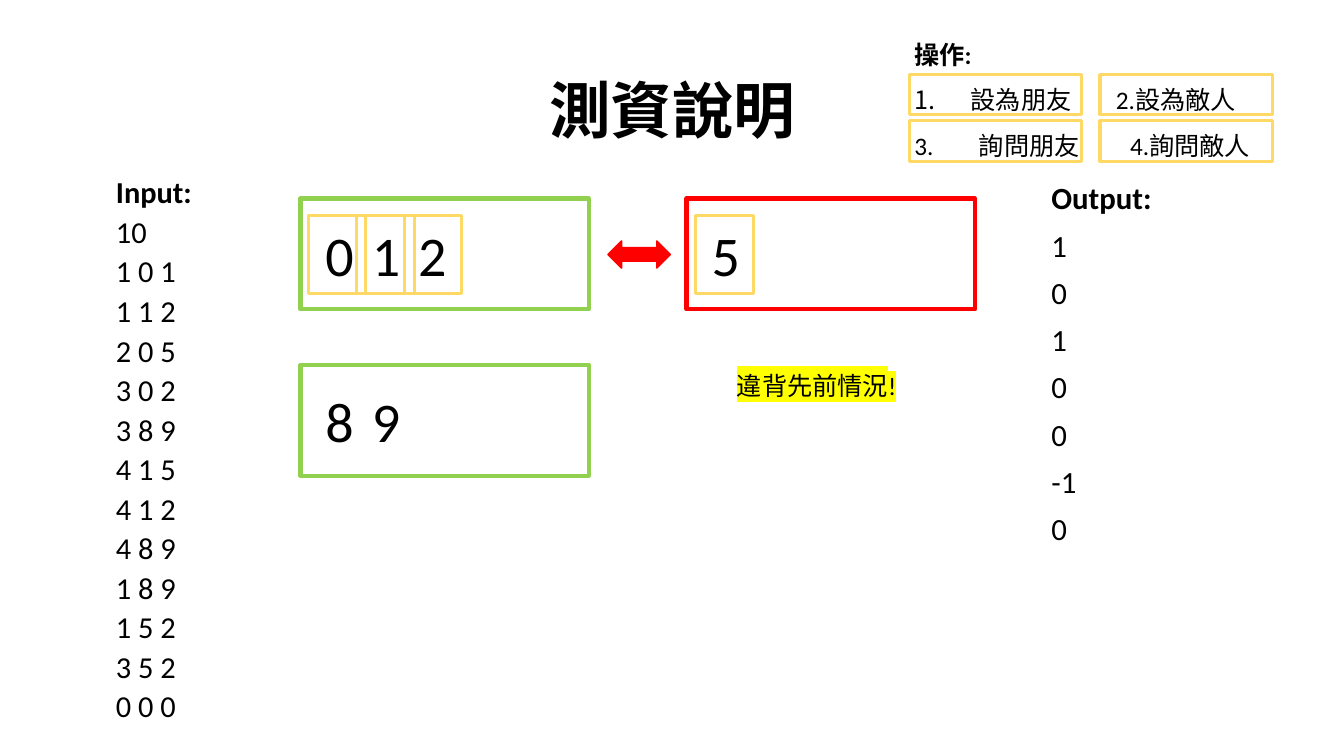
from dataclasses import dataclass

from lxml.etree import SubElement
from pptx import Presentation
from pptx.dml.color import RGBColor
from pptx.enum.shapes import MSO_SHAPE
from pptx.enum.text import MSO_ANCHOR, MSO_AUTO_SIZE, PP_ALIGN
from pptx.oxml.ns import qn
from pptx.util import Inches, Pt

GREEN, RED, GOLD, YELLOW = "92D050", "FF0000", "FFD966", "FFFF00"
FONT = "Calibri"


@dataclass
class Group:
    """A framed row of numbers."""

    left: float
    top: float
    color: str
    numbers: str


@dataclass
class Marker:
    """A gold frame around a number or an operation."""

    left: float
    top: float
    width: float
    height: float


def color_of(code: str) -> RGBColor:
    """Turn a hex string into a colour."""
    return RGBColor.from_string(code)


def place(shape, left: float, top: float, width: float, height: float) -> None:
    """Move and size a shape in inches."""
    shape.left, shape.top = Inches(left), Inches(top)
    shape.width, shape.height = Inches(width), Inches(height)


def add_text(frame, text: str, *, size: float, bold: bool = False, first: bool = False,
             spacing: float = 1.0, before: float = 0, align=PP_ALIGN.LEFT,
             indent: float = 0, number: bool = False, highlight: str = ""):
    """Write one formatted paragraph into a text frame."""
    para = frame.paragraphs[0] if first else frame.add_paragraph()
    para.line_spacing, para.space_before = spacing, Pt(before)
    para.alignment = align
    properties = para._p.get_or_add_pPr()
    properties.set("marL", str(Inches(indent)))
    properties.set("indent", str(-Inches(indent)))
    if number:
        SubElement(properties, qn("a:buFont"), typeface="+mj-lt")
        SubElement(properties, qn("a:buAutoNum"), type="arabicPeriod")
    else:
        SubElement(properties, qn("a:buNone"))
    span = para.add_run()
    span.text = text
    span.font.size, span.font.bold, span.font.name = Pt(size), bold, FONT
    span.font.color.rgb = color_of("000000")
    if highlight:
        mark = SubElement(span._r.rPr, qn("a:highlight"))
        SubElement(mark, qn("a:srgbClr"), val=highlight)
        span._r.rPr.find(qn("a:solidFill")).addnext(mark)
    return para


def add_box(page, left: float, top: float, width: float, height: float):
    """Add a wrapping text box and return its frame."""
    box = page.shapes.add_textbox(Inches(left), Inches(top), Inches(width), Inches(height))
    box.text_frame.word_wrap = True
    return box.text_frame


def add_outline(page, left: float, top: float, width: float, height: float,
                color: str, weight: float, kind=MSO_SHAPE.RECTANGLE, fill: str = ""):
    """Add an outlined preset shape, unfilled unless a fill is given."""
    shape = page.shapes.add_shape(kind, Inches(left), Inches(top), Inches(width), Inches(height))
    shape.shadow.inherit = False
    shape.line.color.rgb, shape.line.width = color_of(color), Pt(weight)
    if fill:
        shape.fill.solid()
        shape.fill.fore_color.rgb = color_of(fill)
    else:
        shape.fill.background()
    return shape


def fill_listing(frame, heading: str, lines: list[str], size: float, spacing: float) -> None:
    """Write a bold heading and the lines below it."""
    add_text(frame, heading, size=size, bold=True, first=True, spacing=spacing, before=10)
    for line in lines:
        add_text(frame, line, size=size, spacing=spacing, before=10)


def add_group(page, group: Group) -> None:
    """Draw a group's frame with its numbers at an equal pitch."""
    add_outline(page, group.left, group.top, 2.86, 1.1, group.color, 3)
    for index, number in enumerate(group.numbers):
        frame = add_box(page, group.left + 0.15 + 0.46 * index, group.top + 0.17, 0.46, 0.77)
        add_text(frame, number, size=40, first=True)


deck = Presentation()
deck.slide_width, deck.slide_height = Inches(13.33), Inches(7.5)
page = deck.slides.add_slide(deck.slide_layouts[1])

title = page.shapes.title
place(title, 0.92, 0.4, 11.5, 1.45)
title.text_frame.vertical_anchor = MSO_ANCHOR.MIDDLE
add_text(title.text_frame, "測資說明", size=44, bold=True, first=True,
         spacing=0.9, align=PP_ALIGN.CENTER)

body = page.placeholders[1]
place(body, 1.05, 1.77, 1.71, 5.83)
body.text_frame.auto_size = MSO_AUTO_SIZE.NONE
commands = ["10", "1 0 1", "1 1 2", "2 0 5", "3 0 2", "3 8 9", "4 1 5",
            "4 1 2", "4 8 9", "1 8 9", "1 5 2", "3 5 2", "0 0 0"]
fill_listing(body.text_frame, "Input:", commands, 21.7, 0.7)
fill_listing(add_box(page, 10.33, 1.77, 1.71, 5.83), "Output:",
             ["1", "0", "1", "0", "0", "-1", "0"], 22, 0.9)

for group in (Group(2.98, 1.97, GREEN, "012"), Group(6.81, 1.97, RED, "5"),
              Group(2.98, 3.62, GREEN, "89")):
    add_group(page, group)
add_outline(page, 6.03, 2.39, 0.62, 0.27, RED, 1, MSO_SHAPE.LEFT_RIGHT_ARROW, RED)

operations = add_box(page, 8.97, 0.19, 3.86, 1.77)
add_text(operations, "操作:", size=18, bold=True, first=True, spacing=1.5)
add_text(operations, "設為朋友\t2.設為敵人", size=18, spacing=1.5, indent=0.56, number=True)
add_text(operations, "3.\t詢問朋友\t4.詢問敵人", size=18, spacing=1.5, indent=0.64)

number_markers = [Marker(left, 2.14, 0.57, 0.77) for left in (3.06, 3.54, 4.01, 6.9)]
operation_markers = [Marker(left, top, 1.71, 0.4)
                     for top in (0.74, 1.2) for left in (9.02, 10.91)]
for marker in number_markers + operation_markers:
    add_outline(page, marker.left, marker.top, marker.width, marker.height, GOLD, 2.25)

add_text(add_box(page, 7.21, 3.62, 1.87, 0.4), "違背先前情況!", size=18,
         first=True, highlight=YELLOW)

deck.save("out.pptx")
